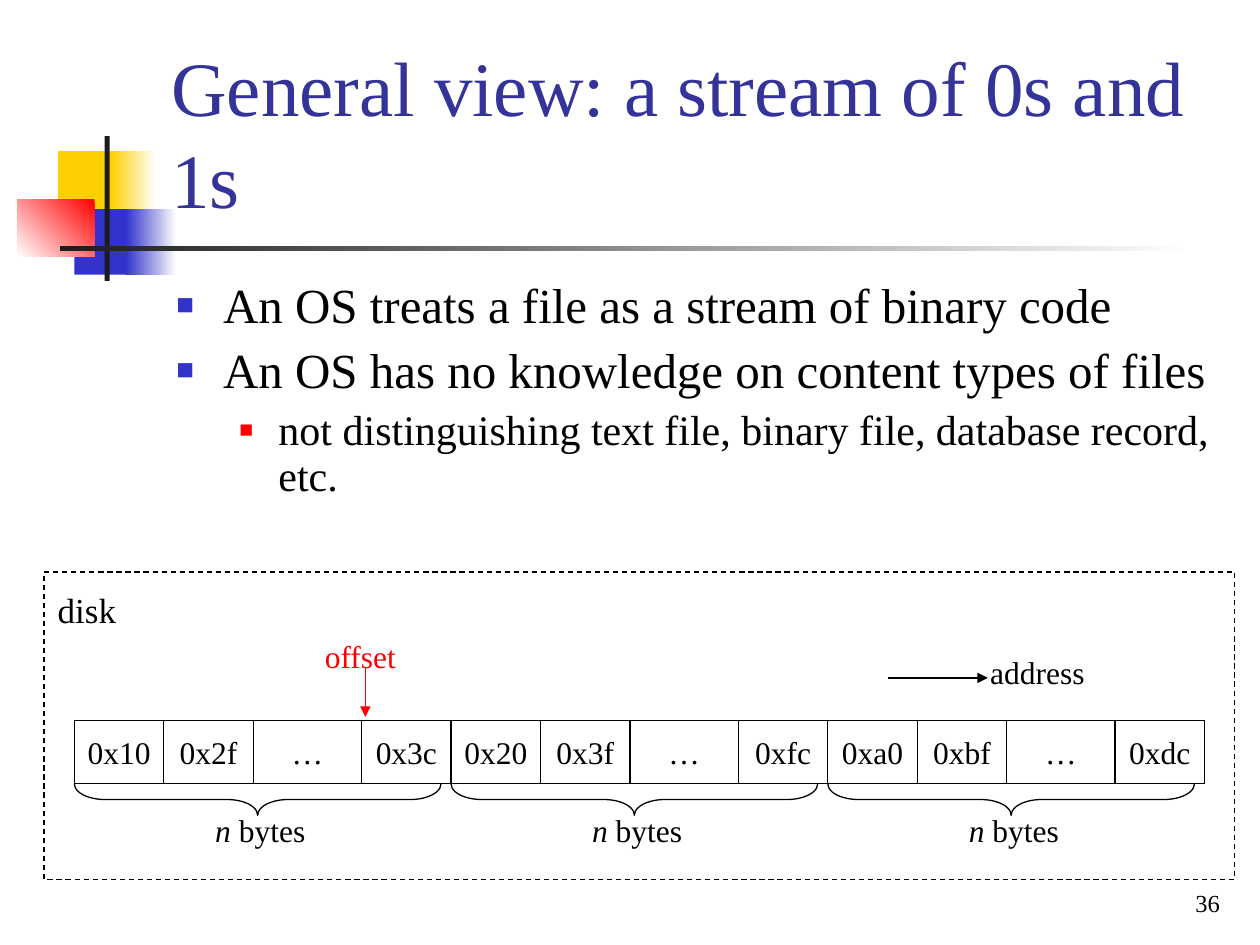
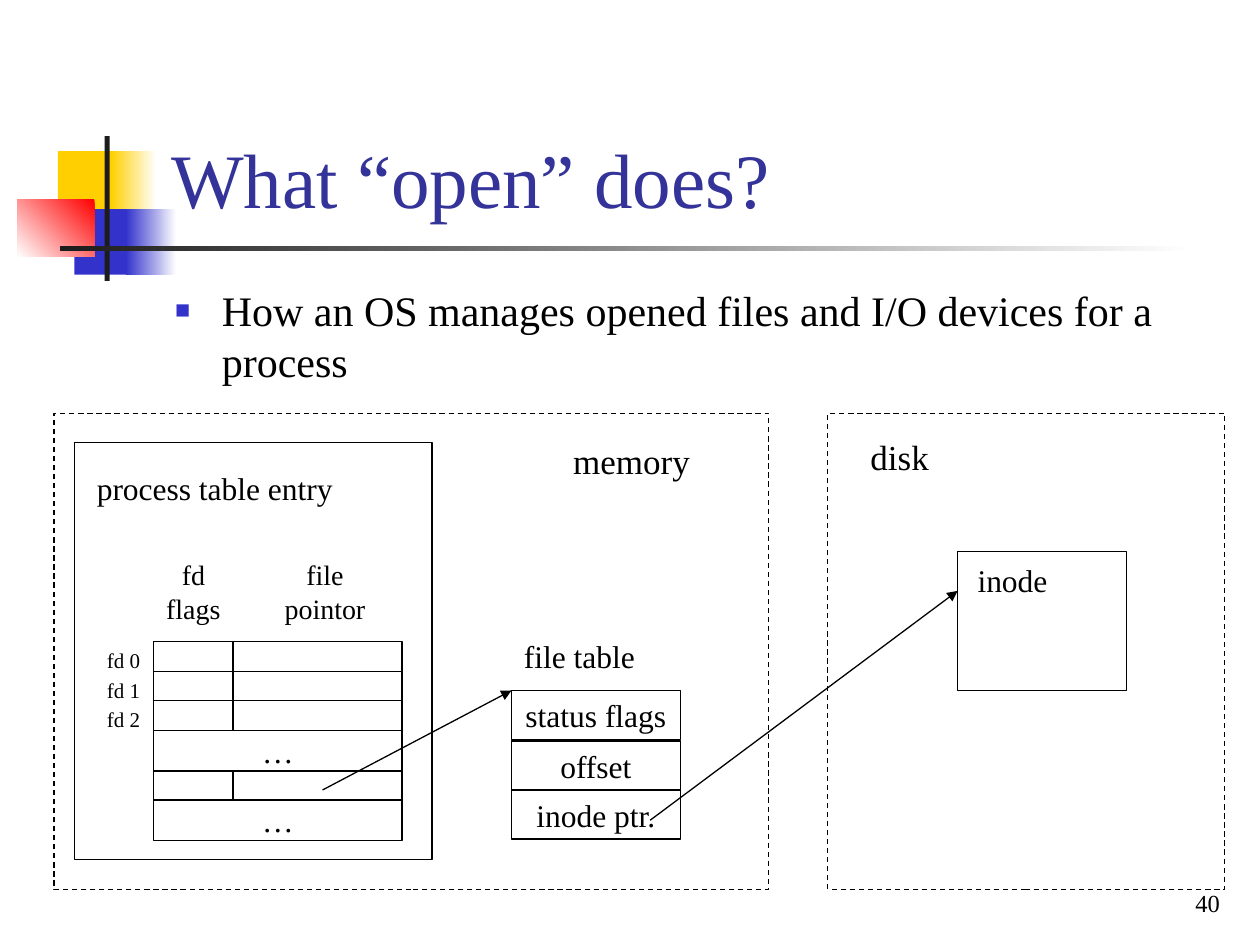
from dataclasses import dataclass
from itertools import accumulate

from lxml import etree
from pptx import Presentation
from pptx.dml.color import RGBColor
from pptx.enum import dml, shapes, text
from pptx.oxml import ns
from pptx.util import Inches, Pt


@dataclass(frozen=True)
class Theme:
    font: str = "Times New Roman"
    ink: str = "000000"
    title: str = "333399"
    gold: str = "FFCF01"
    blue: str = "3333CC"
    red: str = "FF0000"
    dark: str = "1C1C1C"
    white: str = "FFFFFF"
    head: int = 44
    large: int = 28
    mid: int = 24
    zone: int = 20
    base: int = 18
    small: int = 16
    page: int = 14
    tiny: int = 12
    rule: float = 0.75


T = Theme()
CENTER = text.PP_ALIGN.CENTER
LEVELS = [
    {"left": 0.37, "hang": 0.37, "color": T.blue, "scale": 60},
    {"left": 0.81, "hang": 0.31, "color": T.red, "scale": 55},
]


def assign(item, form):
    for key, value in form.items():
        setattr(item, key, value)


def place(shape, left, top, width, height):
    assign(shape, {
        "left": Inches(left), "top": Inches(top),
        "width": Inches(width), "height": Inches(height),
    })


def style(font, size, color=T.ink):
    assign(font, {"name": T.font, "size": Pt(size)})
    font.color.rgb = RGBColor.from_string(color)


def sub(parent, tag, **attrs):
    return etree.SubElement(parent, ns.qn(tag), **attrs)


def write(shape, lines, size=T.base, color=T.ink, align=None, wrap=False):
    frame = shape.text_frame
    frame.word_wrap = wrap
    for i, line in enumerate(lines):
        para = frame.add_paragraph() if i else frame.paragraphs[0]
        if align is not None:
            para.alignment = align
        for words, slant in line if isinstance(line, list) else [(line, False)]:
            run = para.add_run()
            run.text = words
            style(run.font, size, color)
            run.font.italic = slant


def label(slide, words, at, size=T.base, color=T.ink, align=None):
    box = slide.shapes.add_textbox(*map(Inches, at))
    write(box, words, size, color, align, wrap=align is None)
    box.text_frame.auto_size = text.MSO_AUTO_SIZE.SHAPE_TO_FIT_TEXT
    if align is None:
        box.text_frame.margin_right = 0


def outline(slide, at, kind=shapes.MSO_SHAPE.RECTANGLE, dash=False):
    shape = slide.shapes.add_shape(kind, *map(Inches, at))
    shape.shadow.inherit = False
    shape.fill.background()
    shape.line.color.rgb = RGBColor.from_string(T.ink)
    shape.line.width = Pt(T.rule)
    if dash:
        shape.line.dash_style = dml.MSO_LINE.DASH
    return shape


def cell(slide, at, words):
    box = outline(slide, at)
    box.text_frame.vertical_anchor = text.MSO_ANCHOR.MIDDLE
    write(box, [words], align=CENTER)


def arrow(slide, start, end, color=T.ink):
    line = slide.shapes.add_connector(
        shapes.MSO_CONNECTOR.STRAIGHT, *map(Inches, start + end))
    line.line.color.rgb = RGBColor.from_string(color)
    line.line.width = Pt(T.rule)
    props = line.element.spPr
    sub(props.find(ns.qn("a:ln")), "a:tailEnd", type="triangle")
    sub(props, "a:effectLst")


def block(slide, at, colors, angle=180):
    shape = outline(slide, at)
    shape.line.fill.background()
    if len(colors) == 1:
        shape.fill.solid()
        shape.fill.fore_color.rgb = RGBColor.from_string(colors[0])
        return
    shape.fill.gradient()
    shape.fill.gradient_angle = angle
    for stop, color in zip(shape.fill.gradient_stops, colors):
        stop.color.rgb = RGBColor.from_string(color)


def emblem(slide):
    block(slide, (0.46, 1.2, 0.48, 0.52), [T.gold])
    block(slide, (0.88, 1.2, 0.36, 0.52), [T.white, T.gold])
    block(slide, (0.59, 1.66, 0.46, 0.52), [T.blue])
    block(slide, (1, 1.66, 0.4, 0.52), [T.white, T.blue])
    block(slide, (0.14, 1.58, 0.61, 0.46), [T.red, T.white], 225)
    block(slide, (0.83, 1.08, 0.04, 1.15), [T.dark])
    block(slide, (0.48, 1.95, 9, 0.04), [T.white, T.dark])


def bullet(para, level):
    form = LEVELS[level]
    para.level = level
    props = para._p.get_or_add_pPr()
    props.set("marL", str(Inches(form["left"])))
    props.set("indent", str(-Inches(form["hang"])))
    sub(sub(props, "a:buClr"), "a:srgbClr", val=form["color"])
    sub(props, "a:buSzPct", val=str(form["scale"] * 1000))
    sub(props, "a:buFont", typeface=T.font)
    sub(props, "a:buChar", char="■")


def listing(body, at, items, space):
    place(body, *at)
    frame = body.text_frame
    frame.auto_size = text.MSO_AUTO_SIZE.NONE
    for i, (words, level, size, before) in enumerate(items):
        para = frame.add_paragraph() if i else frame.paragraphs[0]
        bullet(para, level)
        assign(para, {"line_spacing": space, "space_before": Pt(before)})
        run = para.add_run()
        run.text = words
        style(run.font, size)


def start(deck, title, page):
    slide = deck.slides.add_slide(deck.slide_layouts[1])
    emblem(slide)
    head, body = slide.placeholders
    for holder in (head, body):
        holder.element.getparent().append(holder.element)
    place(head, 1.26, 0.23, 8.52, 1.6)
    write(head, [title], T.head, T.title, text.PP_ALIGN.LEFT, wrap=True)
    assign(head.text_frame, {
        "vertical_anchor": text.MSO_ANCHOR.BOTTOM,
        "auto_size": text.MSO_AUTO_SIZE.NONE,
    })
    foot = slide.shapes.add_textbox(*map(Inches, (7.7, 6.83, 2.08, 0.5)))
    foot.text_frame.vertical_anchor = text.MSO_ANCHOR.BOTTOM
    write(foot, [page], T.page, align=text.PP_ALIGN.RIGHT, wrap=True)
    return slide, body


def chunk(slide, left, codes):
    widths = [0.71, 0.71, 0.86, 0.71]
    for x, width, code in zip(accumulate(widths, initial=left), widths, codes):
        cell(slide, (x, 5.72, width, 0.5), code)
    brace = outline(slide, (left + 1.33, 4.89, 0.25, 2.91),
                    shapes.MSO_SHAPE.LEFT_BRACE)
    brace.rotation = 270
    brace.adjustments[0] = 0.965
    label(slide, [[("n", True), (" bytes", False)]],
          (left + 1.02, 6.39, 0.91, 0.4))


def stream(deck):
    slide, body = start(deck, "General view: a stream of 0s and 1s", "36")
    listing(body, (1.3, 2.18, 8.5, 1.89), [
        ("An OS treats a file as a stream of binary code", 0, T.large, 0),
        ("An OS has no knowledge on content types of files", 0, T.large, 7),
        ("not distinguishing text file, binary file, database record, etc.",
         1, T.mid, 6),
    ], 0.9)
    chunks = ["0x10 0x2f … 0x3c", "0x20 0x3f … 0xfc", "0xa0 0xbf … 0xdc"]
    for i, codes in enumerate(chunks):
        chunk(slide, 0.59 + i * 2.99, codes.split())
    arrow(slide, (7.05, 5.38), (7.84, 5.38))
    label(slide, ["address"], (7.76, 5.13, 0.95, 0.4))
    outline(slide, (0.35, 4.54, 9.45, 2.44), dash=True)
    label(slide, ["disk"], (0.36, 4.62, 0.66, 0.44), T.zone)
    label(slide, ["offset"], (2.48, 5.01, 0.77, 0.4), color=T.red)
    arrow(slide, (2.9, 5.3), (2.9, 5.69), T.red)


def process(slide):
    outline(slide, (0.59, 3.51, 2.84, 3.31))
    label(slide, ["process table entry"], (0.67, 3.67, 2.07, 0.4))
    label(slide, ["fd", "flags"], (1.22, 4.38, 0.63, 0.64), T.small,
          align=CENTER)
    label(slide, ["file", "pointor"], (2.16, 4.38, 0.84, 0.64), T.small,
          align=CENTER)
    rows = [("fd 0", 0.24), ("fd 1", 0.23), ("fd 2", 0.24),
            ("…", 0.32), ("", 0.23), ("…", 0.32)]
    tops = accumulate((high for _, high in rows), initial=5.09)
    for top, (name, high) in zip(tops, rows):
        if name == "…":
            cell(slide, (1.22, top, 1.97, high), name)
            continue
        outline(slide, (1.22, top, 0.63, high))
        outline(slide, (1.85, top, 1.34, high))
        if name:
            label(slide, [name], (0.75, top, 0.46, 0.3), T.tiny)


def opened(deck):
    slide, body = start(deck, "What “open” does?", "40")
    listing(body, (1.29, 2.21, 8.5, 1.15), [
        ("How an OS manages opened files and I/O devices for a process",
         0, T.mid, 0),
    ], 1.0)
    process(slide)
    fields = {"status flags": 5.48, "offset": 5.88, "inode ptr.": 6.27}
    for name, top in fields.items():
        cell(slide, (4.06, top, 1.34, 0.39), name)
    label(slide, ["file table"], (4.06, 5.01, 1.09, 0.4))
    arrow(slide, (2.56, 6.27), (4.06, 5.48))
    outline(slide, (0.43, 3.28, 5.67, 3.78), dash=True)
    label(slide, ["memory"], (4.45, 3.44, 1.13, 0.44), T.zone)
    outline(slide, (7.6, 4.38, 1.34, 1.1))
    label(slide, ["inode"], (7.66, 4.4, 0.75, 0.4))
    outline(slide, (6.57, 3.28, 3.15, 3.78), dash=True)
    label(slide, ["disk"], (6.81, 3.41, 0.66, 0.44), T.zone)
    arrow(slide, (5.16, 6.51), (7.6, 4.69))


def main():
    deck = Presentation()
    assign(deck, {"slide_width": Inches(10), "slide_height": Inches(7.5)})
    stream(deck)
    opened(deck)
    deck.save("out.pptx")


if __name__ == "__main__":
    main()
